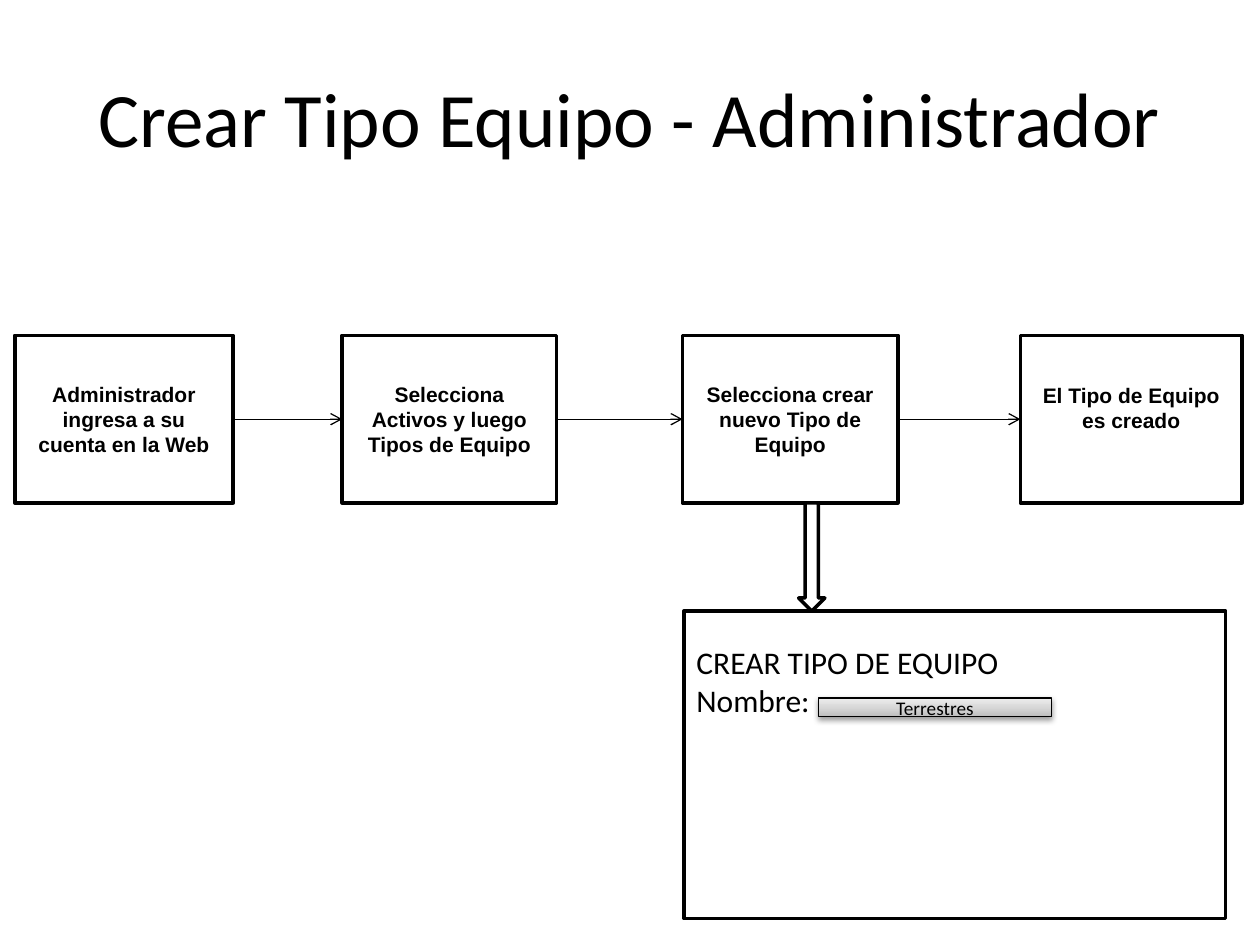
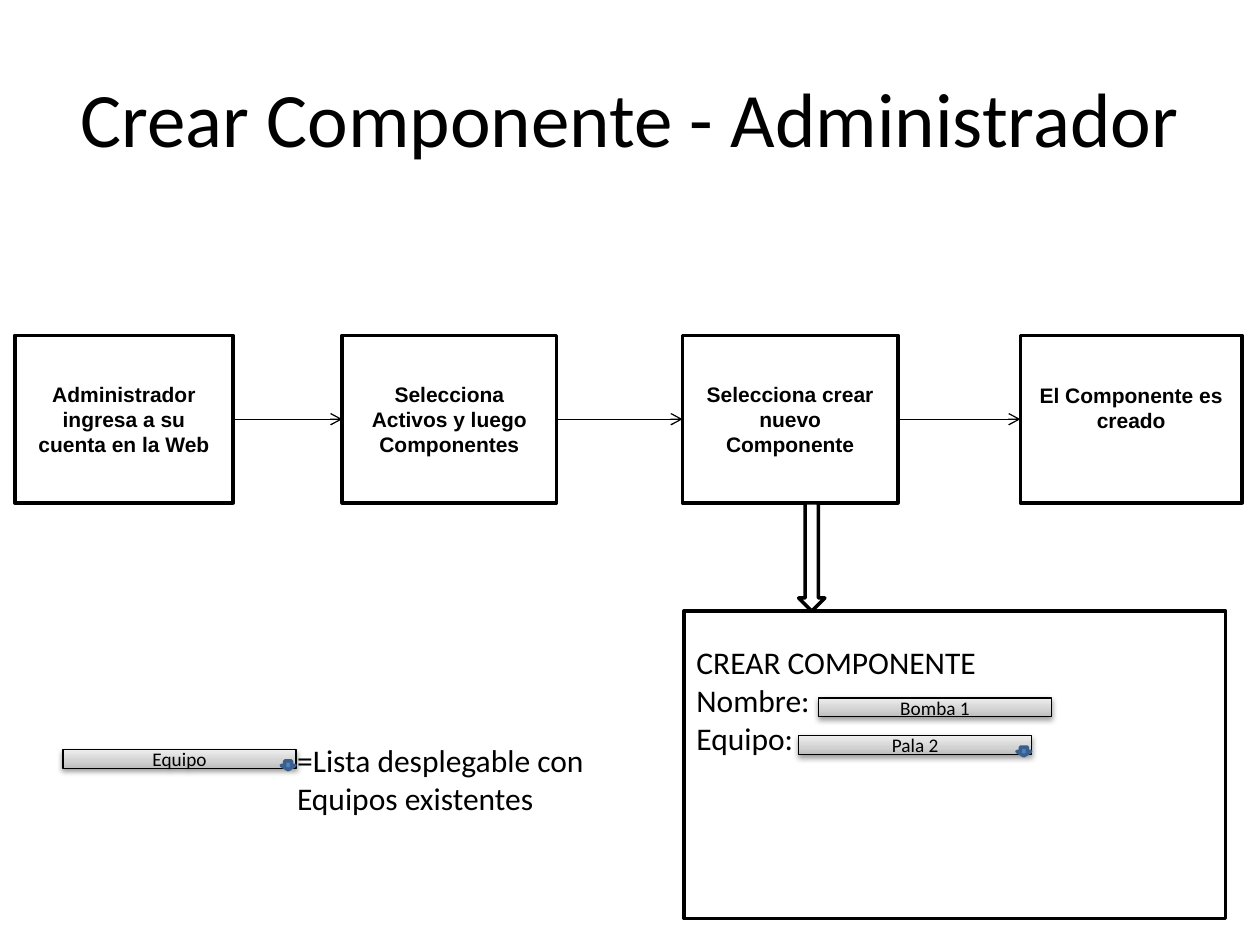
from copy import deepcopy

from pptx import Presentation
from pptx.dml.color import RGBColor
from pptx.enum.shapes import MSO_CONNECTOR as Connector, MSO_SHAPE as Preset
from pptx.enum.text import MSO_ANCHOR as Anchor, PP_ALIGN as Align
from pptx.oxml import parse_xml
from pptx.oxml.ns import nsdecls, qn
from pptx.util import Cm, Pt

BLACK = RGBColor(0x00, 0x00, 0x00)
WHITE = RGBColor(0xFF, 0xFF, 0xFF)
BLUE = RGBColor(0x4F, 0x81, 0xBD)
DARK_BLUE = RGBColor(0x3A, 0x5F, 0x8C)
FIELD_STOPS = [
    (0, RGBColor(0xBD, 0xBD, 0xBD)),
    (0.35, RGBColor(0xD1, 0xD1, 0xD1)),
    (1, RGBColor(0xEE, 0xEE, 0xEE)),
]

# Left edge and width of each step, in cm
STEP_COLUMNS = [(0.3, 4.4), (6.9, 4.32), (13.76, 4.34), (20.57, 4.47)]
STEP_TOP, STEP_HEIGHT = 6.76, 3.38
FORM_LEFT, FORM_TOP = 13.79, 12.32
FIELD_WIDTH, FIELD_HEIGHT = 4.7, 0.38


class FlowDeck:
    """Holds the shared style and the slide being filled."""

    def __init__(self):
        self.deck = Presentation()
        self.deck.slide_width, self.deck.slide_height = Cm(25.4), Cm(19.05)
        self.page = None

    def set_text(self, shape, lines, size, font="Calibri", bold=False,
                 align=Align.LEFT, anchor=Anchor.MIDDLE):
        frame = shape.text_frame
        frame.word_wrap = True
        frame.vertical_anchor = anchor
        frame.text = "\n".join(lines)
        for para in frame.paragraphs:
            para.alignment = align
            para.font.name, para.font.size = font, Pt(size)
            para.font.bold = bold
            para.font.color.rgb = BLACK
        return frame

    def shape(self, preset, left, top, width, height,
              fill=WHITE, line=BLACK, weight=2):
        shape = self.page.shapes.add_shape(
            preset, Cm(left), Cm(top), Cm(width), Cm(height))
        shape.shadow.inherit = False
        shape.fill.solid()
        shape.fill.fore_color.rgb = fill
        shape.line.color.rgb = line
        shape.line.width = Pt(weight)
        return shape

    def text_box(self, lines, left, top, width, height, size, **style):
        box = self.page.shapes.add_textbox(
            Cm(left), Cm(top), Cm(width), Cm(height))
        self.set_text(box, lines, size, **style)

    def new_page(self, title):
        self.page = self.deck.slides.add_slide(self.deck.slide_layouts[6])
        self.text_box([title], 1.27, 0.76, 22.86, 3.18, 44, align=Align.CENTER)

    def arrow(self, start, end):
        line = self.page.shapes.add_connector(Connector.STRAIGHT, 0, 0, 0, 0)
        line.begin_connect(start, 3)
        line.end_connect(end, 1)
        line.line.color.rgb = BLACK
        line.line.width = Pt(0.75)
        properties = line._element.spPr
        properties.find(qn("a:ln")).append(
            parse_xml(f'<a:tailEnd {nsdecls("a")} type="arrow"/>'))
        properties.append(parse_xml(f'<a:effectLst {nsdecls("a")}/>'))

    def steps(self, texts):
        boxes = []
        for (left, width), text in zip(STEP_COLUMNS, texts):
            box = self.shape(Preset.RECTANGLE, left, STEP_TOP, width, STEP_HEIGHT)
            self.set_text(box, [text], 12, "Arial", True, Align.CENTER)
            boxes.append(box)
        # The result sits one half line above the middle
        boxes[-1].text_frame.margin_bottom = Cm(0.6)
        for start, end in zip(boxes, boxes[1:]):
            self.arrow(start, end)

    def form(self, lines):
        box = self.shape(Preset.RECTANGLE, FORM_LEFT, FORM_TOP, 10.92, 6.2)
        frame = self.set_text(box, lines, 18, anchor=Anchor.TOP)
        frame.margin_top = Cm(0.65)
        step_bottom = STEP_TOP + STEP_HEIGHT
        self.shape(Preset.DOWN_ARROW, 16.1, step_bottom, 0.53,
                   FORM_TOP - step_bottom)

    def field(self, text, left, top, dropdown=False):
        box = self.shape(Preset.RECTANGLE, left, top, FIELD_WIDTH, FIELD_HEIGHT,
                         weight=0.75)
        # Grey gradient with a third stop, dark at the bottom
        box.fill.gradient()
        box.fill.gradient_angle = 90
        stop_list = box._element.spPr.find(".//" + qn("a:gsLst"))
        stop_list.append(deepcopy(stop_list[0]))
        for stop, (position, color) in zip(box.fill.gradient_stops, FIELD_STOPS):
            stop.position, stop.color.rgb = position, color
        # Soft shadow below
        box._element.spPr.find(qn("a:effectLst")).append(parse_xml(
            f'<a:outerShdw {nsdecls("a")} blurRad="40000" dist="20000" '
            'dir="5400000" rotWithShape="0"><a:srgbClr val="000000">'
            '<a:alpha val="38000"/></a:srgbClr></a:outerShdw>'))
        self.set_text(box, [text], 11, align=Align.CENTER)
        if dropdown:
            self.shape(Preset.DOWN_ARROW, left + 4.4, top + 0.23, 0.28, 0.18,
                       BLUE, DARK_BLUE)


flow = FlowDeck()
SIGN_IN = "Administrador ingresa a su cuenta en la Web"

# Equipment type
flow.new_page("Crear Tipo Equipo - Administrador")
flow.steps([
    SIGN_IN,
    "Selecciona Activos y luego Tipos de Equipo",
    "Selecciona crear nuevo Tipo de Equipo",
    "El Tipo de Equipo es creado",
])
flow.form(["CREAR TIPO DE EQUIPO", "Nombre:"])
flow.field("Terrestres", 16.5, 14.07)

# Component
flow.new_page("Crear Componente - Administrador")
flow.steps([
    SIGN_IN,
    "Selecciona Activos y luego Componentes",
    "Selecciona crear nuevo Componente",
    "El Componente es creado",
])
flow.form(["CREAR COMPONENTE", "Nombre:", "Equipo:"])
flow.field("Bomba 1", 16.5, 14.07)
flow.field("Pala 2", 16.1, 14.83, dropdown=True)

# Key to the drop-down list
flow.field("Equipo", 1.27, 15.11, dropdown=True)
flow.text_box(["=Lista desplegable con", "Equipos existentes"],
              5.74, 14.81, 6.5, 1.8, 18, anchor=Anchor.TOP)

flow.deck.save("out.pptx")
